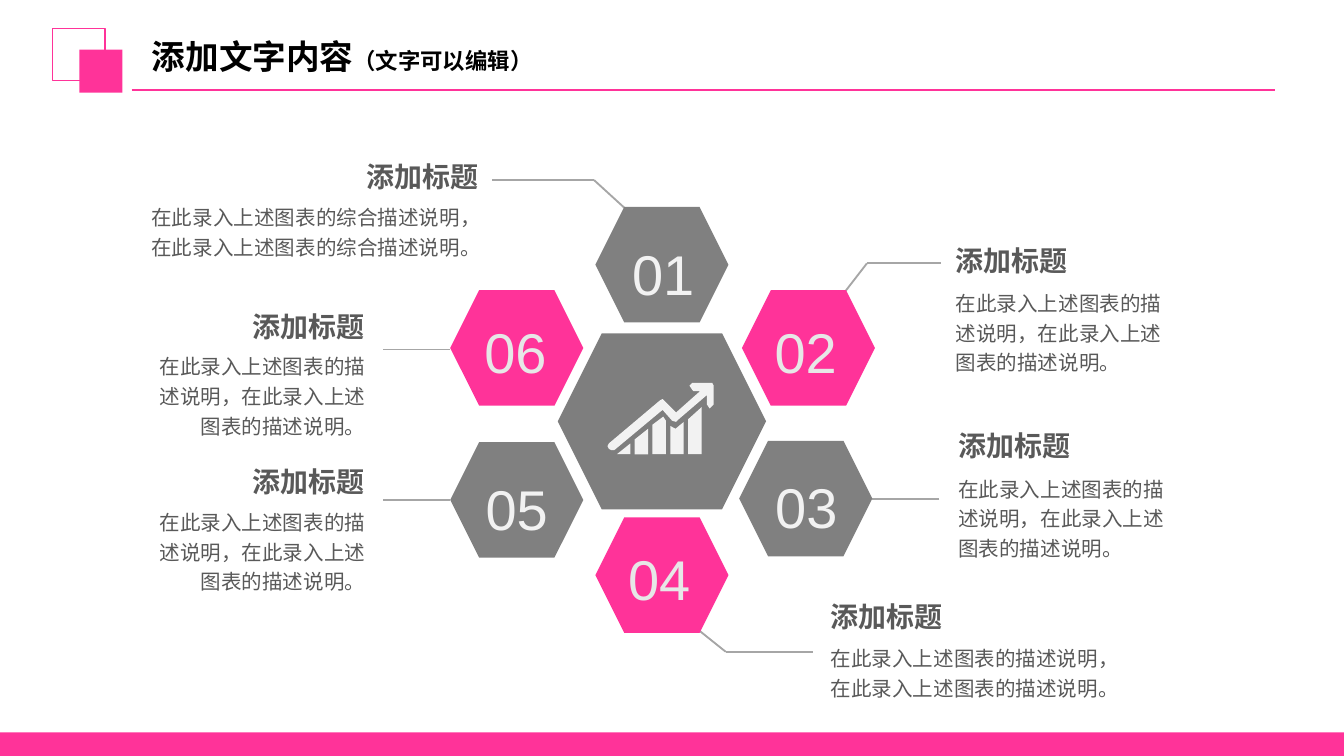
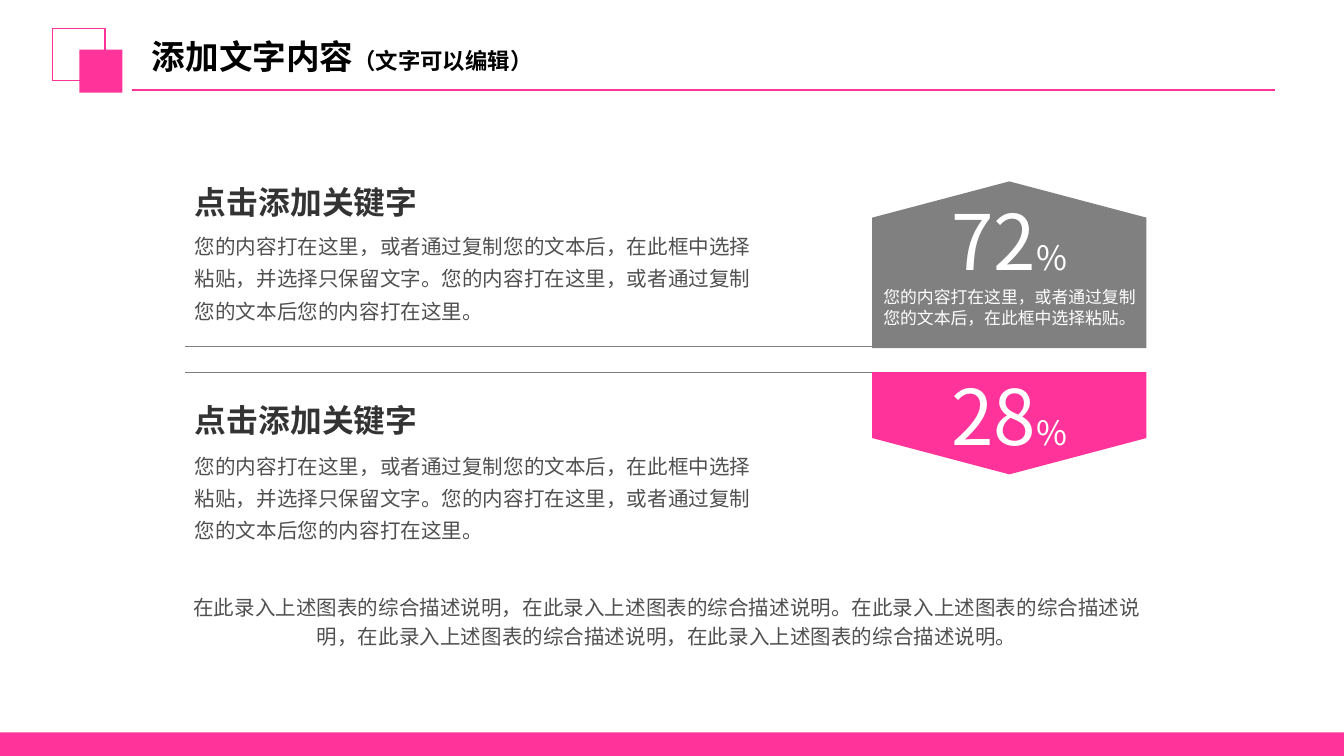
import pptx
import pptx.dml.color
import pptx.enum.shapes
import pptx.enum.text
import pptx.oxml.ns
import pptx.util
from lxml import etree

Inches = pptx.util.Inches
ALIGN = pptx.enum.text.PP_ALIGN
SHAPE = pptx.enum.shapes.MSO_SHAPE

PINK, GREY, CORE_GREY, LEADER_GREY = "FF3399", "808080", "7E7E7E", "A6A6A6"
LABEL_GREY, KEYWORD_GREY, BODY_GREY = "595959", "333333", "505050"
ICON_WHITE, PINK_NUMBER, WHITE, BLACK = "F2F2F2", "E7E7E7", "FFFFFF", "000000"
CJK = "Noto Sans CJK SC"

SUMMARY = "在此录入上述图表的综合描述说明"
DETAIL = "在此录入上述图表的描述说明，在此录入上述图表的描述说明。"
KEYWORD_TEXT = ("您的内容打在这里，或者通过复制您的文本后，在此框中选择粘贴，"
                "并选择只保留文字。您的内容打在这里，或者通过复制您的文本后"
                "您的内容打在这里。")

# number, hexagon corner, number box
HEXAGONS = [
    ("02", (5.52, 2.16), (5.66, 2.31, 0.67, 0.61)),
    ("01", (4.43, 1.54), (4.57, 1.63, 0.73, 0.71)),
    ("03", (5.5, 3.28), (5.62, 3.37, 0.76, 0.71)),
    ("05", (3.35, 3.29), (3.51, 3.38, 0.67, 0.71)),
    ("06", (3.35, 2.16), (3.5, 2.31, 0.67, 0.61)),
    ("04", (4.43, 3.85), (4.57, 4, 0.67, 0.61)),
]
PINK_NUMBERS = ("02", "04", "06")

# heading corner, description box, description, alignment
LABELS = [
    ((2.64, 1.15), (0.98, 1.45, 2.67, 0.52), f"{SUMMARY}，{SUMMARY}。", ALIGN.RIGHT),
    ((1.79, 2.26), (1.02, 2.56, 1.77, 0.74), DETAIL, ALIGN.RIGHT),
    ((1.79, 3.42), (1.02, 3.72, 1.77, 0.74), DETAIL, ALIGN.RIGHT),
    ((7.04, 1.77), (7.04, 2.09, 1.81, 0.74), DETAIL, ALIGN.LEFT),
    ((7.06, 3.15), (7.06, 3.47, 1.81, 0.74), DETAIL, ALIGN.LEFT),
    ((6.11, 4.42), (6.11, 4.73, 2.39, 0.52), DETAIL, ALIGN.LEFT),
]

LEADERS = [
    [(6.99, 3.71), (6.49, 3.71)],
    [(5.2, 4.69), (5.4, 4.85), (6.05, 4.85)],
    [(3.35, 3.72), (2.85, 3.72)],
    [(3.35, 2.6), (2.85, 2.6)],
    [(4.65, 1.55), (4.42, 1.34), (3.66, 1.34)],
    [(6.28, 2.18), (6.45, 1.96), (7, 1.96)],
]

# Growth icon: top edge of each bar (offset from its left side, height), then the arrow
BAR_TOPS = [
    [(0.1, 3.3)],
    [(0, 3.27), (0.1, 3.19)],
    [(0, 3.16), (0.08, 3.1), (0.1, 3.13)],
    [(0, 3.17), (0.04, 3.19), (0.1, 3.14)],
    [(0, 3.12), (0.1, 3.03)],
]
GROWTH_ARROW = [
    (5.31, 2.87), (5.3, 2.85), (5.28, 2.85), (5.15, 2.85), (5.13, 2.87),
    (5.15, 2.9), (5.16, 2.91), (5.21, 2.91), (5.03, 3.07), (4.95, 2.99),
    (4.93, 2.97), (4.91, 2.98), (4.53, 3.3), (4.52, 3.32), (4.53, 3.34),
    (4.55, 3.35), (4.57, 3.35), (4.93, 3.05), (5, 3.13), (5.03, 3.14),
    (5.05, 3.12), (5.26, 2.94), (5.26, 3.01), (5.28, 3.04), (5.31, 3.01),
]


def rgb(color):
    return pptx.dml.color.RGBColor.from_string(color)


def inches(values):
    return [Inches(value) for value in values]


def style(paragraph, size, color, bold=False, font=CJK, align=None, spacing=None):
    paragraph.alignment = align
    paragraph.line_spacing = spacing
    paragraph.font.size = pptx.util.Pt(size)
    paragraph.font.bold = bold
    paragraph.font.color.rgb = rgb(color)
    paragraph.font.name = font
    # East Asian typeface follows the Latin one
    etree.SubElement(paragraph.font._rPr, pptx.oxml.ns.qn("a:ea"), typeface=font)


def set_frame(frame, side=0.07, top=0.04, bottom=0.04, wrap=True, grow=True):
    auto = pptx.enum.text.MSO_AUTO_SIZE
    frame.margin_left = frame.margin_right = Inches(side)
    frame.margin_top, frame.margin_bottom = Inches(top), Inches(bottom)
    frame.vertical_anchor = pptx.enum.text.MSO_ANCHOR.TOP
    frame.word_wrap = wrap
    frame.auto_size = auto.SHAPE_TO_FIT_TEXT if grow else auto.NONE


def add_text(slide, box, text, size, color, side=0.07, top=0.04, wrap=True, **look):
    frame = slide.shapes.add_textbox(*inches(box)).text_frame
    set_frame(frame, side, top, top, wrap)
    frame.text = text
    style(frame.paragraphs[0], size, color, **look)


def paint(shape, fill=None, line=None):
    shape.shadow.inherit = False
    if fill:
        shape.fill.solid()
        shape.fill.fore_color.rgb = rgb(fill)
    else:
        shape.fill.background()
    if line:
        shape.line.color.rgb = rgb(line)
        shape.line.width = pptx.util.Pt(0.75)
    else:
        shape.line.fill.background()
    return shape


def add_block(slide, kind, box, fill=None, line=None):
    return paint(slide.shapes.add_shape(kind, *inches(box)), fill, line)


def add_outline(slide, points, fill):
    start, *others = [inches(point) for point in points]
    builder = slide.shapes.build_freeform(*start)
    builder.add_line_segments(others, close=True)
    return paint(builder.convert_to_shape(), fill)


def add_path(slide, points, color, width):
    straight = pptx.enum.shapes.MSO_CONNECTOR.STRAIGHT
    for start, end in zip(points, points[1:]):
        line = slide.shapes.add_connector(straight, *inches(start + end))
        line.line.color.rgb = rgb(color)
        line.line.width = pptx.util.Pt(width)
        etree.SubElement(line._element.spPr, pptx.oxml.ns.qn("a:effectLst"))


def prepare_layout(layout):
    for placeholder in list(layout.placeholders):
        if placeholder.placeholder_format.idx != 0:
            placeholder._element.getparent().remove(placeholder._element)
    title = layout.placeholders[0]
    title.left, title.top, title.width, title.height = inches((1.06, 0.23, 3.84, 0.38))


def move_frame_to_layout(slide, layout):
    """Draw the shared band, squares and rule, and keep them on the layout."""
    add_block(slide, SHAPE.RECTANGLE, (0, 5.45, 10, 0.19), PINK)
    add_block(slide, SHAPE.RECTANGLE, (0.39, 0.21, 0.39, 0.39), line=PINK)
    add_block(slide, SHAPE.RECTANGLE, (0.59, 0.37, 0.32, 0.32), PINK)
    add_path(slide, [(0.98, 0.67), (9.49, 0.67)], PINK, 1.25)
    for part in list(slide.shapes):
        if not part.is_placeholder:
            layout.shapes._spTree.append(part._element)


def add_titled_slide(deck, layout):
    slide = deck.slides.add_slide(layout)
    frame = slide.shapes.title.text_frame
    set_frame(frame)
    heading = frame.paragraphs[0]
    heading.add_run().text = "添加文字内容"
    hint = heading.add_run()
    hint.text = "（文字可以编辑）"
    hint.font.size = pptx.util.Pt(12)
    style(heading, 18, BLACK, bold=True, align=ALIGN.LEFT)
    return slide


def add_numbered_hexagon(slide, number, corner, number_box):
    pink = number in PINK_NUMBERS
    add_block(slide, SHAPE.HEXAGON, corner + (0.99, 0.86), PINK if pink else GREY)
    add_text(slide, number_box, number, 30, PINK_NUMBER if pink else ICON_WHITE,
             side=0.1, top=0.05, font="Arial", align=ALIGN.CENTER,
             spacing=None if pink else 1.2)


def add_growth_icon(slide):
    base = 3.38
    for index, top in enumerate(BAR_TOPS):
        left = 4.59 + index * 0.53 / 4
        edge = [(0, base), *top, (0.1, base)]
        add_outline(slide, [(left + x, y) for x, y in edge], ICON_WHITE)
    add_outline(slide, GROWTH_ARROW, ICON_WHITE)


def add_label(slide, corner, box, description, align):
    add_text(slide, corner + (0.99, 0.33), "添加标题", 15, LABEL_GREY,
             wrap=False, bold=True, align=align)
    add_text(slide, box, description, 11, LABEL_GREY, align=align, spacing=1.2)


def add_percent_badge(slide, points, fill, value, top, note=None):
    frame = add_outline(slide, points, fill).text_frame
    set_frame(frame, top=top, grow=False)
    look = dict(color=WHITE, align=ALIGN.CENTER, spacing=pptx.util.Pt(11.2))
    figure = frame.paragraphs[0]
    figure.add_run().text = value
    percent = figure.add_run()
    percent.text = "%"
    percent.font.size = pptx.util.Pt(18)
    style(figure, 41, **look)
    if note:
        remark = frame.add_paragraph()
        remark.text = note
        style(remark, 9, **look)


def add_keyword(slide, heading_top, body_top):
    add_text(slide, (1.38, heading_top, 2.29, 0.36), "点击添加关键字", 17,
             KEYWORD_GREY, bold=True)
    add_text(slide, (1.38, body_top, 4.31, 0.8), KEYWORD_TEXT, 11, BODY_GREY,
             spacing=1.3)


def fill_hexagon_slide(slide):
    for leader in LEADERS:
        add_path(slide, leader, LEADER_GREY, 1)
    for hexagon in HEXAGONS:
        add_numbered_hexagon(slide, *hexagon)
    add_block(slide, SHAPE.HEXAGON, (4.15, 2.48, 1.55, 1.31), CORE_GREY)
    add_growth_icon(slide)
    for label in LABELS:
        add_label(slide, *label)


def fill_percent_slide(slide):
    left, middle, right = 6.49, 7.51, 8.53
    add_percent_badge(
        slide,
        [(right, 1.62), (middle, 1.35), (left, 1.62), (left, 2.59), (right, 2.59)],
        GREY, "72", 0.62,
        "您的内容打在这里，或者通过复制您的文本后，在此框中选择粘贴。")
    add_percent_badge(
        slide,
        [(left, 2.77), (left, 3.26), (middle, 3.53), (right, 3.26), (right, 2.77)],
        PINK, "28", 0.5)
    for y in (2.58, 2.77):
        add_path(slide, [(left, y), (1.38, y)], GREY, 0.5)
    add_keyword(slide, 1.32, 1.65)
    add_keyword(slide, 2.94, 3.28)
    add_text(slide, (1.3, 4.35, 7.33, 0.52),
             f"{SUMMARY}，{SUMMARY}。{SUMMARY}，{SUMMARY}，{SUMMARY}。",
             11, BODY_GREY, align=ALIGN.CENTER, spacing=1.2)


def main():
    deck = pptx.Presentation()
    # Widescreen, 16 to 9
    deck.slide_width = Inches(10)
    deck.slide_height = Inches(10 * 9 / 16)
    layout = deck.slide_layouts.get_by_name("Title Only")
    prepare_layout(layout)

    hexagon_slide = add_titled_slide(deck, layout)
    move_frame_to_layout(hexagon_slide, layout)
    fill_hexagon_slide(hexagon_slide)
    fill_percent_slide(add_titled_slide(deck, layout))
    deck.save("out.pptx")


if __name__ == "__main__":
    main()
